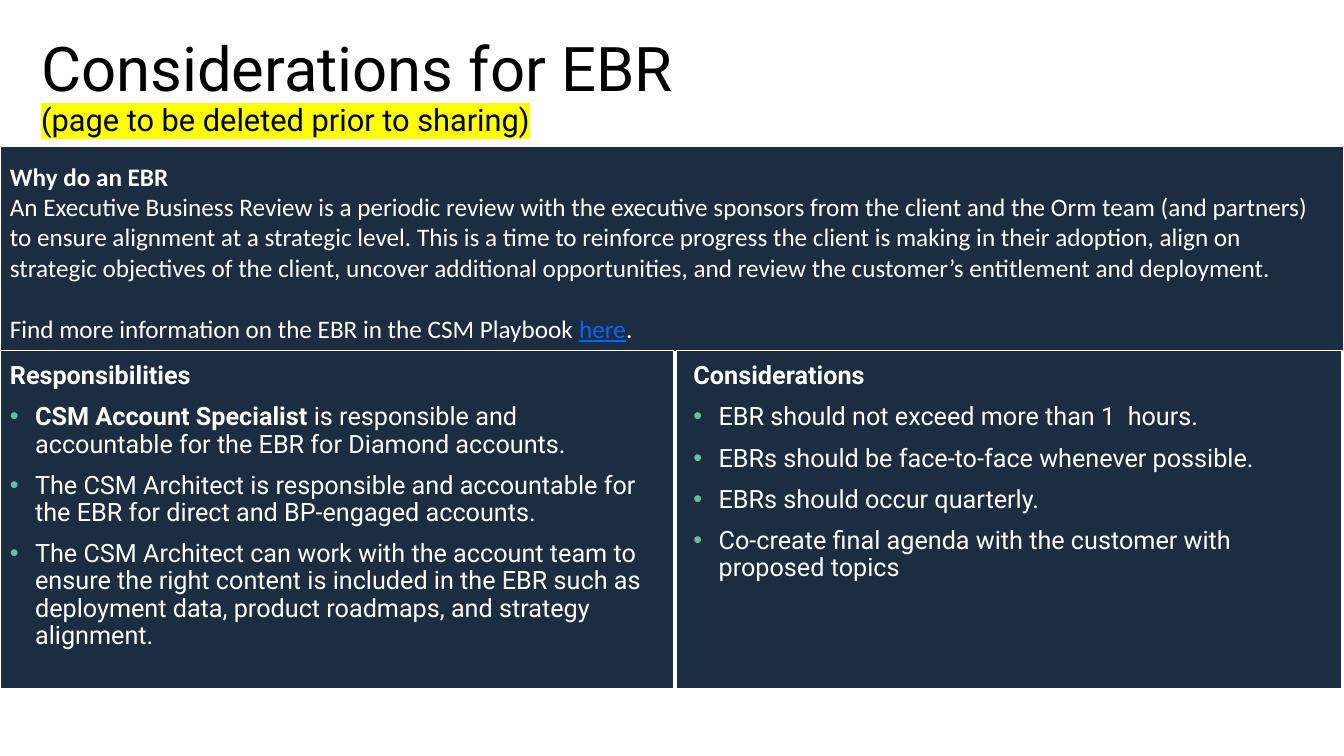
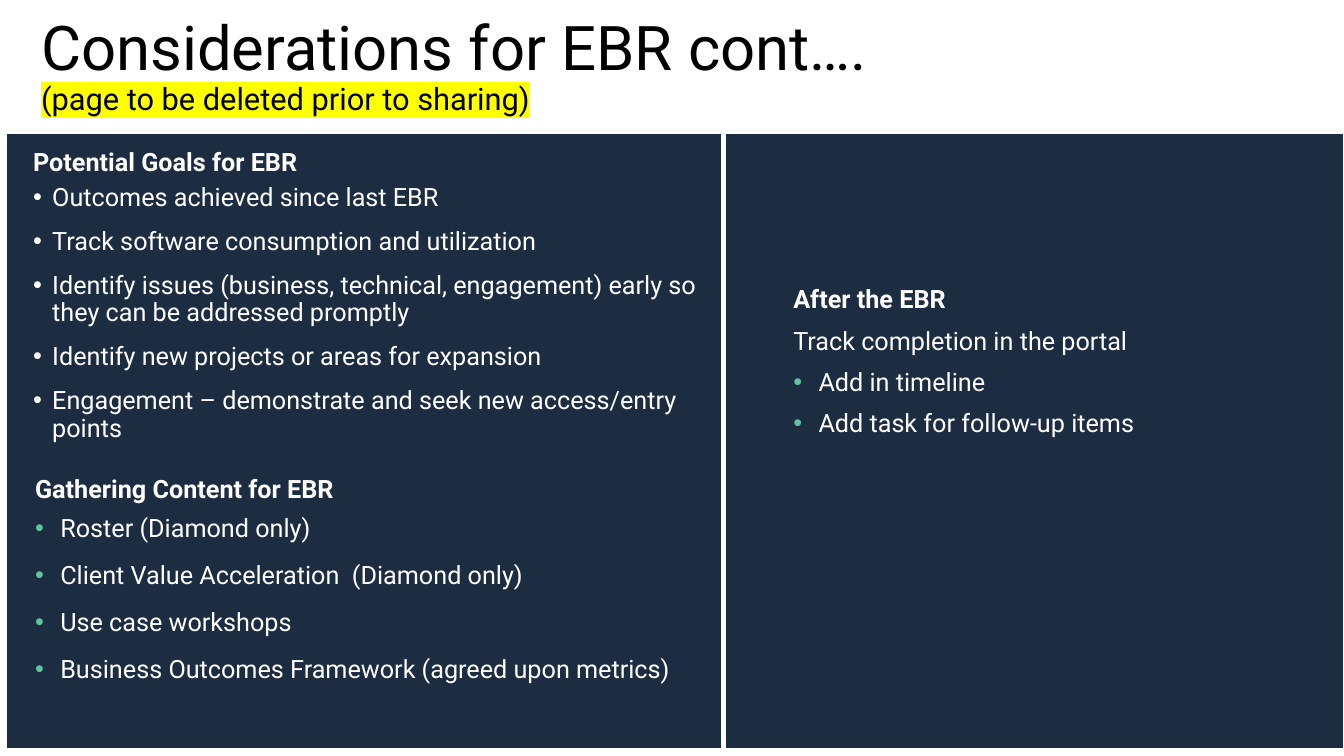
from dataclasses import dataclass
from functools import partial

from lxml.etree import SubElement
from pptx import Presentation
from pptx.dml.color import RGBColor
from pptx.enum.shapes import MSO_SHAPE
from pptx.enum.text import MSO_ANCHOR
from pptx.oxml.ns import qn
from pptx.slide import Slide
from pptx.util import Inches, Pt

NAVY = "1C2C41"
WHITE = "FFFFFF"
BLACK = "000000"
GREEN = "61C29F"
LINK_BLUE = "0066FF"
YELLOW = "FFFF00"
BODY_SIZE = 18
TITLE_NOTE = "(page to be deleted prior to sharing)"


@dataclass(frozen=True)
class Area:
    left: float
    top: float
    width: float
    height: float

    def lengths(self):
        return [Inches(side) for side in (self.left, self.top, self.width, self.height)]


@dataclass(frozen=True)
class Span:
    text: str
    bold: bool = False
    color: str = WHITE
    underline: bool = False


@dataclass(frozen=True)
class Block:
    """One paragraph with its spacing in points and its bullet colour, if any."""
    spans: tuple[Span, ...]
    line_spacing: float = 0.9
    before: float = 10
    after: float = 0
    bullet: str = ""
    indent: float = 0.25


def heading(text, **layout) -> Block:
    return Block((Span(text, bold=True),), **layout)


def plain(text, **layout) -> Block:
    return Block((Span(text),), **layout)


green_bullet = partial(plain, bullet=GREEN)
goal = partial(plain, bullet=WHITE, indent=0.19, before=6, after=6)
source = partial(green_bullet, line_spacing=1, before=6, after=6)


def rgb(color: str) -> RGBColor:
    return RGBColor.from_string(color)


def add_run(paragraph, text, *, size=BODY_SIZE, font="Roboto", color=WHITE,
            bold=False, underline=False, highlight="") -> None:
    run = paragraph.add_run()
    run.text = text
    run.font.size = Pt(size)
    run.font.name = font
    run.font.bold = bold
    run.font.underline = underline
    run.font.color.rgb = rgb(color)
    if highlight:
        properties = run.font._element
        marker = SubElement(properties, qn("a:highlight"))
        SubElement(marker, qn("a:srgbClr"), val=highlight)
        properties.find(qn("a:solidFill")).addnext(marker)


def add_bullet(paragraph, color: str, indent: float) -> None:
    properties = paragraph._p.get_or_add_pPr()
    properties.set("marL", str(Inches(indent)))
    properties.set("indent", str(-Inches(indent)))
    bullet_color = SubElement(properties, qn("a:buClr"))
    SubElement(bullet_color, qn("a:srgbClr"), val=color)
    SubElement(properties, qn("a:buFont"), typeface="Arial")
    SubElement(properties, qn("a:buChar"), char="•")


def add_frame(slide: Slide, area: Area):
    frame = slide.shapes.add_textbox(*area.lengths()).text_frame
    frame.word_wrap = True
    return frame


def add_title(slide: Slide, text: str, top: float) -> None:
    frame = add_frame(slide, Area(0.31, top, 10.94, 1.17))
    frame.vertical_anchor = MSO_ANCHOR.MIDDLE
    paragraph = frame.paragraphs[0]
    paragraph.line_spacing = 0.9
    add_run(paragraph, text, size=44, color=BLACK)
    paragraph.add_line_break()
    add_run(paragraph, TITLE_NOTE, size=22, color=BLACK, highlight=YELLOW)


def add_panel(slide: Slide, area: Area) -> None:
    shape = slide.shapes.add_shape(MSO_SHAPE.RECTANGLE, *area.lengths())
    shape.shadow.inherit = False
    shape.fill.solid()
    shape.fill.fore_color.rgb = rgb(NAVY)
    shape.line.color.rgb = rgb(WHITE)
    shape.line.width = Pt(1)


def add_blocks(slide: Slide, area: Area, blocks: list[Block], font="Roboto") -> None:
    frame = add_frame(slide, area)
    for index, block in enumerate(blocks):
        paragraph = frame.add_paragraph() if index else frame.paragraphs[0]
        if block.bullet:
            add_bullet(paragraph, block.bullet, block.indent)
        paragraph.line_spacing = block.line_spacing
        paragraph.space_before = Pt(block.before if index else 0)
        paragraph.space_after = Pt(block.after)
        for span in block.spans:
            add_run(paragraph, span.text, font=font, color=span.color,
                    bold=span.bold, underline=span.underline)


def build_considerations(slide: Slide) -> None:
    add_title(slide, "Considerations for EBR", 0.29)
    for panel in (Area(0, 1.45, 13.33, 2.04), Area(0, 3.48, 6.68, 3.35),
                  Area(6.71, 3.48, 6.6, 3.35)):
        add_panel(slide, panel)
    add_blocks(slide, Area(0, 1.55, 13.33, 1.92), [
        heading("Why do an EBR", line_spacing=1),
        plain("An Executive Business Review is a periodic review with the executive "
              "sponsors from the client and the Orm team (and partners) to ensure "
              "alignment at a strategic level. This is a time to reinforce progress the "
              "client is making in their adoption, align on strategic objectives of the "
              "client, uncover additional opportunities, and review the customer’s "
              "entitlement and deployment.", line_spacing=1, before=0),
        Block((Span("Find more information on the EBR in the CSM Playbook "),
               Span("here", color=LINK_BLUE, underline=True), Span(".")),
              line_spacing=1, before=22),
    ], font="Calibri")
    add_blocks(slide, Area(0, 3.55, 6.51, 3.2), [
        heading("Responsibilities"),
        Block((Span("CSM Account Specialist ", bold=True),
               Span("is responsible and accountable for the EBR for Diamond accounts.")),
              bullet=GREEN),
        green_bullet("The CSM Architect is responsible and accountable for the EBR for "
                     "direct and BP-engaged accounts."),
        green_bullet("The CSM Architect can work with the account team to ensure the "
                     "right content is included in the EBR such as deployment data, "
                     "product roadmaps, and strategy alignment."),
    ])
    add_blocks(slide, Area(6.78, 3.55, 5.97, 3.12), [
        heading("Considerations"),
        green_bullet("EBR should not exceed more than 1  hours."),
        green_bullet("EBRs should be face-to-face whenever possible."),
        green_bullet("EBRs should occur quarterly."),
        green_bullet("Co-create final agenda with the customer with proposed topics"),
    ])


def build_continuation(slide: Slide) -> None:
    add_title(slide, "Considerations for EBR cont….", 0.08)
    for panel in (Area(0.06, 1.32, 7.1, 6.11), Area(7.19, 1.32, 6.14, 6.11)):
        add_panel(slide, panel)
    add_blocks(slide, Area(0.23, 1.46, 6.96, 3.15), [
        heading("Potential Goals for EBR", line_spacing=0.8),
        goal("Outcomes achieved since last EBR"),
        goal("Track software consumption and utilization"),
        goal("Identify issues (business, technical, engagement) early so they can be "
             "addressed promptly"),
        goal("Identify new projects or areas for expansion"),
        goal("Engagement – demonstrate and seek new access/entry points"),
    ])
    add_blocks(slide, Area(0.25, 4.68, 6.96, 2.75), [
        heading("Gathering Content for EBR"),
        source("Roster (Diamond only)"),
        source("Client Value Acceleration  (Diamond only)"),
        source("Use case workshops"),
        source("Business Outcomes Framework (agreed upon metrics)"),
    ])
    add_blocks(slide, Area(7.77, 2.8, 5.5, 3.15), [
        heading("After the EBR"),
        plain("Track completion in the portal"),
        green_bullet("Add in timeline"),
        green_bullet("Add task for follow-up items"),
    ])


def main() -> None:
    presentation = Presentation()
    presentation.slide_width = Inches(13.33)
    presentation.slide_height = Inches(7.5)
    blank_layout = presentation.slide_layouts[6]
    for build in (build_considerations, build_continuation):
        build(presentation.slides.add_slide(blank_layout))
    presentation.save("out.pptx")


if __name__ == "__main__":
    main()
